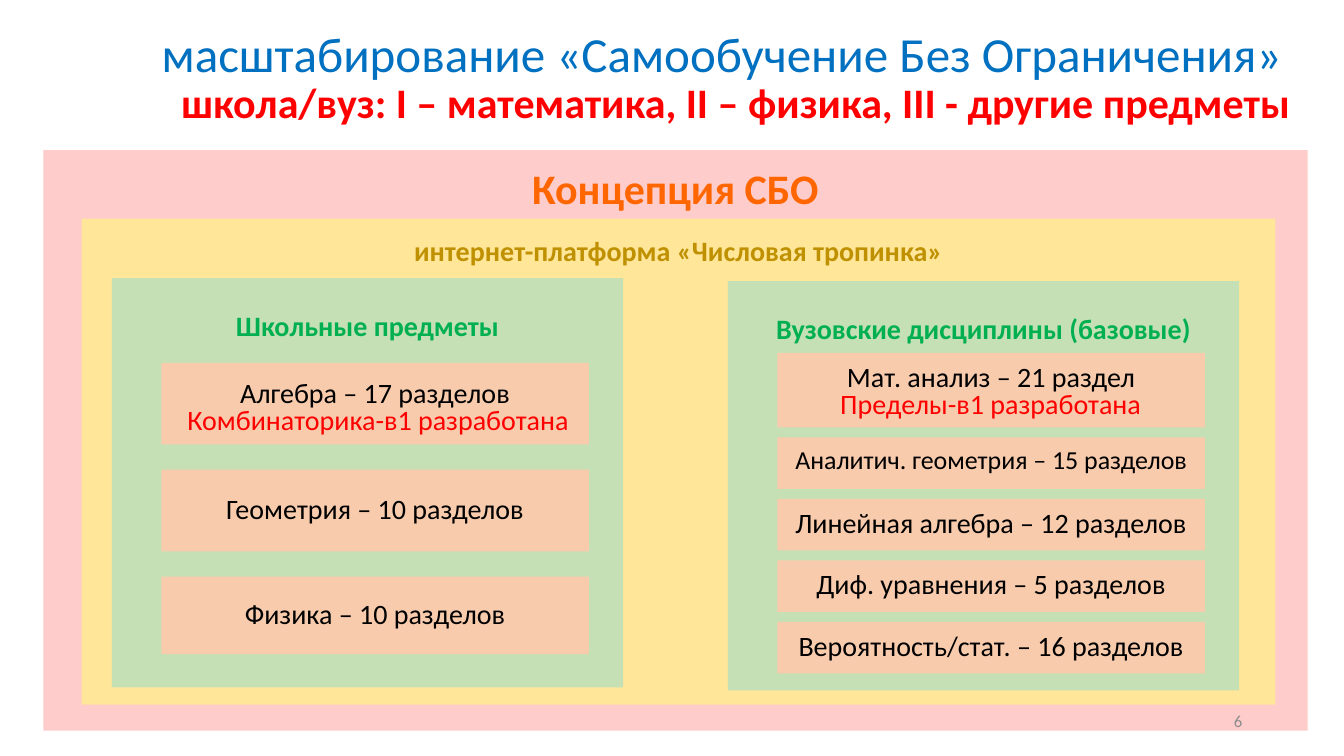
"""Builds the slide on scaling the self-study concept across school and university."""
import pptx
import pptx.dml.color
import pptx.enum.shapes
import pptx.enum.text
import pptx.util

Inches, Pt = pptx.util.Inches, pptx.util.Pt
ALIGN = pptx.enum.text.PP_ALIGN
ANCHOR = pptx.enum.text.MSO_ANCHOR
FIT = pptx.enum.text.MSO_AUTO_SIZE

COLORS = {
    "concept": "FFCCCC", "concept_text": "FF6600",
    "platform": "FFE699", "platform_text": "BF9000",
    "panel": "C5E0B4", "panel_text": "00B050",
    "card": "F8CBAD", "card_text": "000000",
    "title": "0070C0", "accent": "FF0000", "number": "8C8C8C",
}
FONT = "Calibri"
EVEN = (0.1, 0.1, 0.1, 0.1)
TEXT_INSETS = (0.1, 0.05, 0.1, 0.05)

HEADERS = [
    dict(text="Концепция СБО", at=(0.43, 1.49, 12.54, 5.76), fill="concept",
         color="concept_text", size=30, bold=True, insets=(0.1, 0.12, 0.1, 0)),
    dict(text="интернет-платформа «Числовая тропинка»", at=(0.81, 2.17, 11.84, 4.82),
         fill="platform", color="platform_text", bold=True,
         insets=(0.1, 0.2, 0.1, 0.05), spacing=Pt(20)),
    dict(text="масштабирование «Самообучение Без Ограничения»", at=(0.81, 0.29, 12.71, 0.54),
         color="title", size=35, anchor=ANCHOR.MIDDLE, spacing=0.9),
    dict(text="школа/вуз: Ι – математика, ΙΙ – физика, ΙΙΙ - другие предметы",
         at=(1.73, 0.84, 11.24, 0.42), color="accent", size=30, bold=True,
         insets=(0, 0, 0.1, 0), spacing=Pt(30), fit=FIT.SHAPE_TO_FIT_TEXT),
    dict(text="6", at=(9.42, 6.95, 3, 0.4), color="number", size=12,
         anchor=ANCHOR.MIDDLE, align=ALIGN.RIGHT),
]

CENTERED = dict(anchor=ANCHOR.MIDDLE)
PANELS = [
    dict(heading="Школьные предметы", left=1.11, top=2.76, first=3.6, gap=0.25,
         cards=[("Алгебра – 17 разделов", 0.81, dict(insets=(0, 0.16, 0, 0))),
                ("Геометрия – 10 разделов", 0.81, CENTERED),
                ("Физика – 10 разделов", 0.77, CENTERED)],
         note=("Комбинаторика-в1 разработана", (1.67, 3.98, 4.16, 0.41))),
    dict(heading="Вузовские дисциплины (базовые)", left=7.22, top=2.79, first=3.5, gap=0.1,
         cards=[("Мат. анализ – 21 раздел", 0.74, {}),
                ("Аналитич. геометрия – 15 разделов", 0.51, dict(size=18.5)),
                ("Линейная алгебра – 12 разделов", 0.51, {}),
                ("Диф. уравнения – 5 разделов", 0.51, {}),
                ("Вероятность/стат. – 16 разделов", 0.51, {})],
         note=("Пределы-в1 разработана", (7.83, 3.82, 3.99, 0.41))),
]
PANEL_SIZE = (5.07, 4.06)
CARD_INDENT, CARD_WIDTH = 0.49, 4.24


def rgb(name):
    """Return the named colour."""
    return pptx.dml.color.RGBColor.from_string(COLORS[name])


def apply(target, values):
    """Set each attribute of the target from a dict."""
    for name, value in values.items():
        setattr(target, name, value)


def add_block(page, text, at, color, fill=None, size=20, bold=False, insets=TEXT_INSETS,
              anchor=ANCHOR.TOP, align=ALIGN.CENTER, spacing=1.0, fit=FIT.NONE):
    """Add one line of text, on a filled rectangle if a fill is given."""
    place = [Inches(length) for length in at]
    if fill:
        box = page.shapes.add_shape(pptx.enum.shapes.MSO_SHAPE.RECTANGLE, *place)
        box.shadow.inherit = False
        box.fill.solid()
        box.fill.fore_color.rgb = rgb(fill)
        box.line.fill.background()
    else:
        box = page.shapes.add_textbox(*place)
    sides = ("margin_left", "margin_top", "margin_right", "margin_bottom")
    frame = box.text_frame
    apply(frame, dict(zip(sides, map(Inches, insets))))
    apply(frame, dict(word_wrap=True, vertical_anchor=anchor, auto_size=fit))
    para = frame.paragraphs[0]
    apply(para, dict(alignment=align, line_spacing=spacing))
    span = para.add_run()
    span.text = text
    apply(span.font, dict(name=FONT, size=Pt(size), bold=bold))
    span.font.color.rgb = rgb(color)


def add_panel(page, heading, left, top, first, gap, cards, note):
    """Add a panel with its stack of subject cards and the progress note."""
    add_block(page, heading, (left, top, *PANEL_SIZE), "panel_text", "panel", bold=True,
              insets=(0.1, 0.34, 0.1, 0.05), spacing=0.9)
    card_top = first
    for text, height, style in cards:
        at = (left + CARD_INDENT, card_top, CARD_WIDTH, height)
        add_block(page, text, at, "card_text", "card",
                  **{"insets": EVEN, "spacing": 0.9, **style})
        card_top += height + gap
    add_block(page, *note, "accent", anchor=ANCHOR.MIDDLE, spacing=0.9,
              fit=FIT.SHAPE_TO_FIT_TEXT)


def main():
    """Build and save the deck."""
    deck = pptx.Presentation()
    apply(deck, dict(slide_width=Inches(13.33), slide_height=Inches(7.5)))
    page = deck.slides.add_slide(deck.slide_layouts[6])
    for header in HEADERS:
        add_block(page, **header)
    for panel in PANELS:
        add_panel(page, **panel)
    deck.save("out.pptx")


if __name__ == "__main__":
    main()
